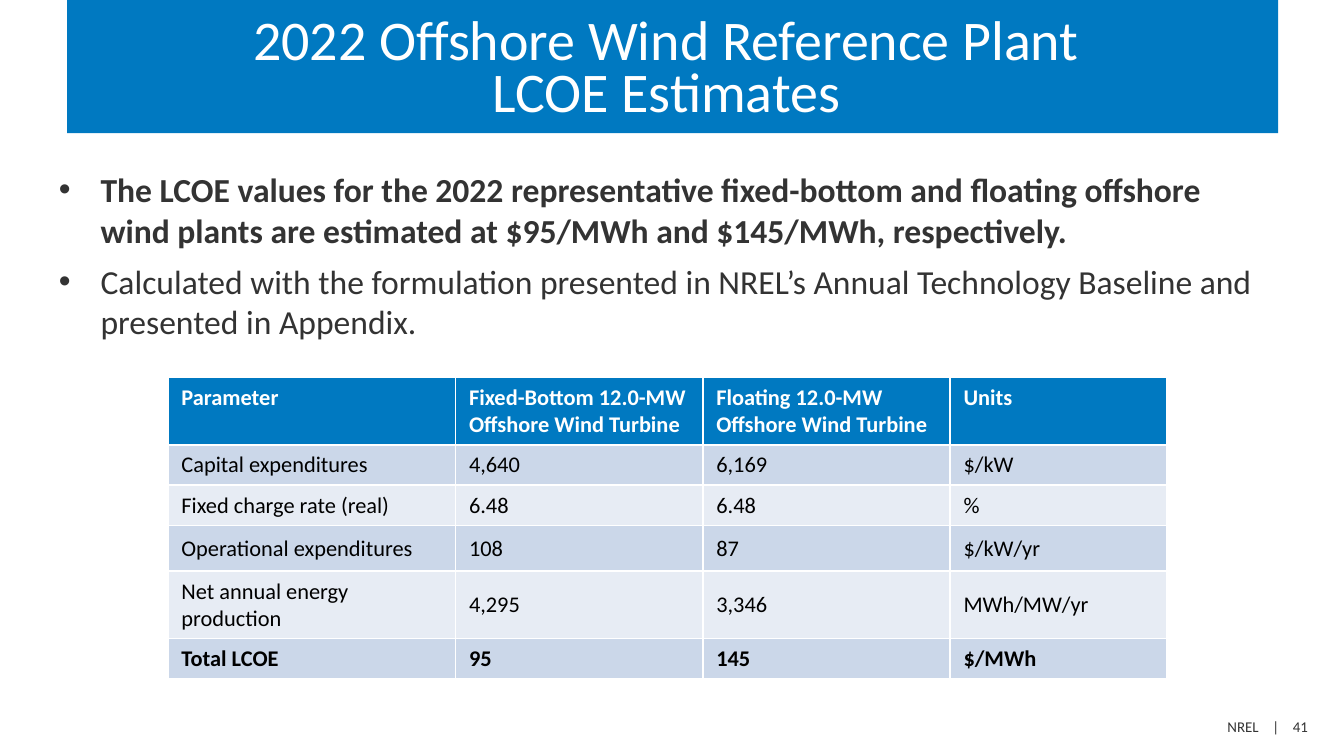
from pptx import Presentation
from pptx import util as u
from pptx.dml.color import RGBColor
from pptx.enum import text
from pptx.oxml import parse_xml
from pptx.oxml.ns import nsdecls

BLUE = RGBColor(0x00, 0x79, 0xC1)
GRAY = RGBColor(0x33, 0x33, 0x33)
WHITE = RGBColor(0xFF, 0xFF, 0xFF)
BLACK = RGBColor(0x00, 0x00, 0x00)
BANDS = [RGBColor(0xE7, 0xEC, 0xF4), RGBColor(0xCB, 0xD7, 0xE9)]


def write(par, words, size=12, color=GRAY, bold=False, gap=0):
    """Add words to a paragraph; gap is the extra letter spacing in points."""
    run = par.add_run()
    run.text = words
    font = run.font
    font.name, font.size, font.bold = "Calibri", u.Pt(size), bold
    font.color.rgb = color
    if gap:
        run._r.get_or_add_rPr().set("spc", str(round(gap * 100)))


def edge(cell):
    """Draw a thin white line on all four sides of a cell."""
    for side in ("lnL", "lnR", "lnT", "lnB"):
        cell._tc.get_or_add_tcPr().append(parse_xml(
            f'<a:{side} {nsdecls("a")} w="12700"><a:solidFill>'
            f'<a:srgbClr val="{WHITE}"/></a:solidFill></a:{side}>'))


deck = Presentation()
deck.slide_width = u.Inches(10)
deck.slide_height = deck.slide_width * 9 // 16
slide = deck.slides.add_slide(deck.slide_layouts[5])

# Title band
title = slide.shapes.title
title.left, title.top = u.Inches(0.5), u.Inches(0)
title.width, title.height = u.Inches(9.01), u.Inches(0.99)
title.fill.solid()
title.fill.fore_color.rgb = BLUE
frame = title.text_frame
frame.auto_size = text.MSO_AUTO_SIZE.NONE
frame.word_wrap = True
frame.vertical_anchor = text.MSO_ANCHOR.MIDDLE
frame.margin_left = frame.margin_right = u.Inches(0.1)
frame.margin_top, frame.margin_bottom = u.Inches(0.13), u.Inches(0.05)
par = frame.paragraphs[0]
par.alignment = text.PP_ALIGN.CENTER
par.line_spacing = u.Pt(28)
write(par, "2022 Offshore Wind Reference Plant ", size=30, color=WHITE)
par.add_line_break()
write(par, "LCOE Estimates ", size=30, color=WHITE)

# Bullets
points = [
    ("The LCOE values for the 2022 representative fixed-bottom and floating "
     "offshore wind plants are estimated at $95/MWh and $145/MWh, "
     "respectively.", True),
    ("Calculated with the formulation presented in NREL’s Annual Technology "
     "Baseline and presented in Appendix.", False),
]
body = slide.shapes.add_textbox(
    u.Inches(0.34), u.Inches(1.21), u.Inches(9.25), u.Inches(1.4))
frame = body.text_frame
frame.word_wrap = True
for i, (words, bold) in enumerate(points):
    par = frame.add_paragraph() if i else frame.paragraphs[0]
    props = par._p.get_or_add_pPr()
    props.set("marL", str(u.Inches(0.31)))
    props.set("indent", str(-u.Inches(0.31)))
    props.append(parse_xml(f'<a:buFont {nsdecls("a")} typeface="Arial"/>'))
    props.append(parse_xml(f'<a:buChar {nsdecls("a")} char="•"/>'))
    if i == 0:
        par.space_after = u.Pt(6)
    write(par, words, size=18, bold=bold)

# Table
data = [
    ("Parameter", "Fixed-Bottom 12.0-MW Offshore Wind Turbine",
     "Floating 12.0-MW Offshore Wind Turbine", "Units"),
    ("Capital expenditures", "4,640", "6,169", "$/kW"),
    ("Fixed charge rate (real)", "6.48", "6.48", "%"),
    ("Operational expenditures", "108", "87", "$/kW/yr"),
    ("Net annual energy production", "4,295", "3,346", "MWh/MW/yr"),
    ("Total LCOE", "95", "145", "$/MWh"),
]
widths = [2.14, 1.84, 1.84, 1.61]
heights = [0.4, 0.3, 0.3, 0.34, 0.34, 0.3]
table = slide.shapes.add_table(
    len(data), len(widths), u.Inches(1.25), u.Inches(2.81),
    u.Inches(sum(widths)), u.Inches(sum(heights))).table
for col, width in zip(table.columns, widths):
    col.width = u.Inches(width)
for r, values in enumerate(data):
    table.rows[r].height = u.Inches(heights[r])
    head = r == 0
    for c, value in enumerate(values):
        cell = table.cell(r, c)
        edge(cell)
        cell.fill.solid()
        cell.fill.fore_color.rgb = BLUE if head else BANDS[r % 2]
        if not head:
            cell.vertical_anchor = text.MSO_ANCHOR.MIDDLE
        write(cell.text_frame.paragraphs[0], value,
              color=WHITE if head else BLACK,
              bold=head or r == len(data) - 1)

# Footer
foot = slide.shapes.add_textbox(
    u.Inches(7.34), u.Inches(5.29), u.Inches(2.49), u.Inches(0.24))
foot.text_frame.word_wrap = True
par = foot.text_frame.paragraphs[0]
par.alignment = text.PP_ALIGN.RIGHT
for part in ("NREL", " ", "|", " ", "41"):
    write(par, part, size=8, gap=5.4 if part == " " else 0)

deck.save("out.pptx")
